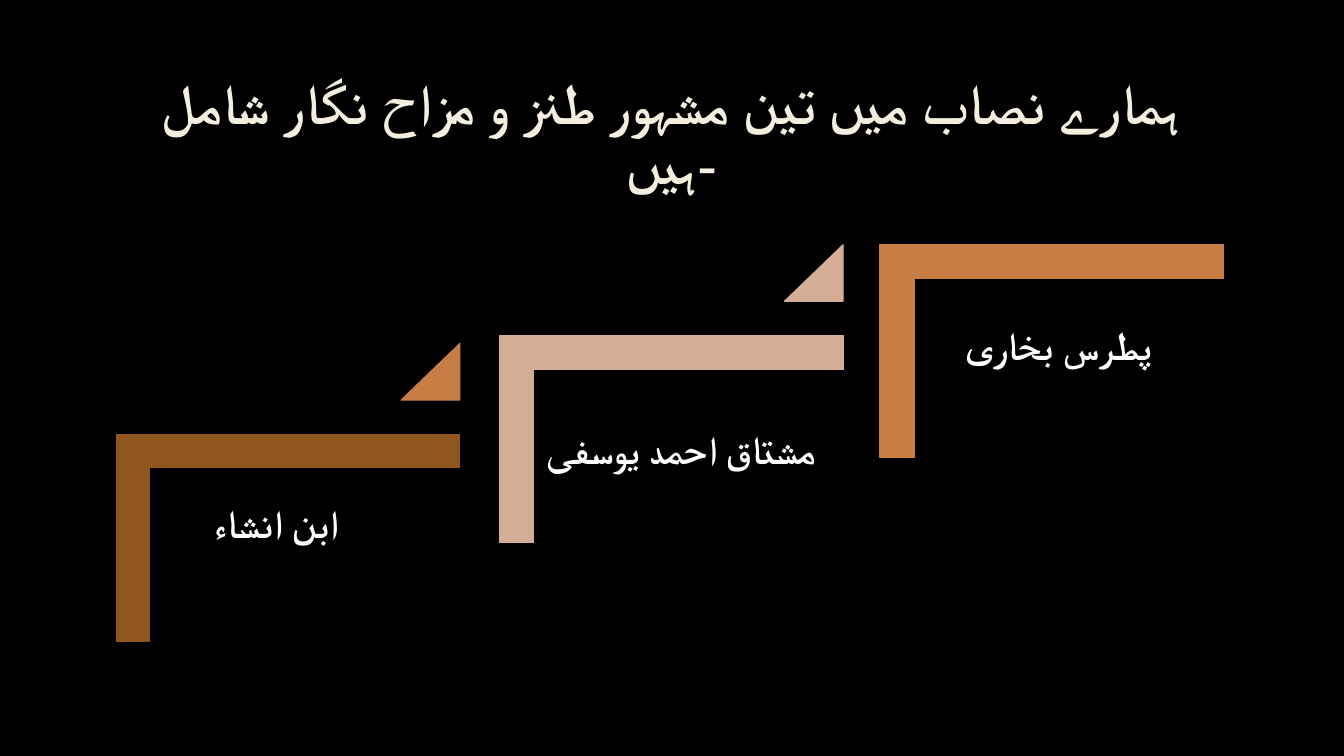
from lxml import etree
from pptx import Presentation
from pptx import util as u
from pptx.dml.color import RGBColor
from pptx.enum import shapes, text
from pptx.oxml import ns

PX = 9525  # EMU per px, 96 px to the inch
FONT = "Times New Roman"
BROWN, ORANGE, TAN = "8F571E", "C77D44", "D5AD95"
BAR = 0.161  # bar thickness as a share of the step's height

# Step box, colour, name, name box relative to the step, colour of the triangle above
STEPS = [
    ((111, 414, 327, 197), BROWN, "ابن انشاء", (81, 55, 173, 148), ORANGE),
    ((476, 320, 327, 197), TAN, "مشتاق احمد یوسفی", (32, 78, 414, 176), TAN),
    ((838, 233, 327, 203), ORANGE, "پطرس بخاری", (69, 66, 261, 241), None),
]


def px(*lengths):
    return [u.Emu(round(n * PX)) for n in lengths]


def rgb(value):
    return RGBColor.from_string(value)


def style_text(tf, words, size, color):
    tf.text = words
    tf.word_wrap = True
    tf.auto_size = text.MSO_AUTO_SIZE.NONE
    p = tf.paragraphs[0]
    p.line_spacing = 0.9
    r = p.runs[0]
    r.font.name, r.font.size, r.font.bold = FONT, u.Pt(size), True
    r.font.color.rgb = rgb(color)
    # Arabic script takes its typeface from a:cs
    etree.SubElement(r.font._element, ns.qn("a:cs"), typeface=FONT)
    return p


def add_outline(font, color, width, alpha):
    ln = etree.Element(ns.qn("a:ln"), w=str(u.Pt(width)))
    fill = etree.SubElement(ln, ns.qn("a:solidFill"))
    clr = etree.SubElement(fill, ns.qn("a:srgbClr"), val=color)
    etree.SubElement(clr, ns.qn("a:alpha"), val=str(alpha * 1000))
    font._element.insert(0, ln)


def add_title(s, box, words):
    sp = s.shapes.title
    sp.left, sp.top, sp.width, sp.height = px(*box)
    p = style_text(sp.text_frame, words, 40, "F4EEDC")
    p.alignment = text.PP_ALIGN.CENTER
    sp.text_frame.vertical_anchor = text.MSO_ANCHOR.MIDDLE
    add_outline(p.runs[0].font, "404040", 0.75, 10)


def add_solid(s, kind, box, color):
    sp = s.shapes.add_shape(kind, *px(*box))
    sp.shadow.inherit = False
    sp.fill.solid()
    sp.fill.fore_color.rgb = rgb(color)
    sp.line.color.rgb = rgb(color)
    sp.line.width = u.Pt(0.75)
    return sp


def add_step(s, box, color, name, name_box, triangle_color):
    x, y, w, h = box
    # Corner: turned a quarter, so its sides swap around the box's centre
    corner_box = (x + (w - h) / 2, y + (h - w) / 2, h, w)
    corner = add_solid(s, shapes.MSO_SHAPE.CORNER, corner_box, color)
    corner.rotation = 90
    corner.adjustments[0] = corner.adjustments[1] = BAR

    # Name
    dx, dy, name_w, name_h = name_box
    tf = s.shapes.add_textbox(*px(x + dx, y + dy, name_w, name_h)).text_frame
    tf.margin_left = tf.margin_right = tf.margin_top = tf.margin_bottom = px(12)[0]
    style_text(tf, name, 28, "FFFFFF").alignment = text.PP_ALIGN.LEFT

    # Triangle leading up to the next step
    if triangle_color:
        triangle = add_solid(s, shapes.MSO_SHAPE.ISOSCELES_TRIANGLE,
                             (x + w - 56, y - 87, 56, 54), triangle_color)
        triangle.adjustments[0] = 1


def main():
    prs = Presentation()
    prs.slide_width, prs.slide_height = px(1280, 720)
    s = prs.slides.add_slide(prs.slide_layouts[5])
    s.background.fill.solid()
    s.background.fill.fore_color.rgb = rgb("000000")

    add_title(s, (96, 64, 1087, 132), "ہمارے نصاب میں تین مشہور طنز و مزاح نگار شامل ہیں-")
    for step in STEPS:
        add_step(s, *step)
    prs.save("out.pptx")


if __name__ == "__main__":
    main()
